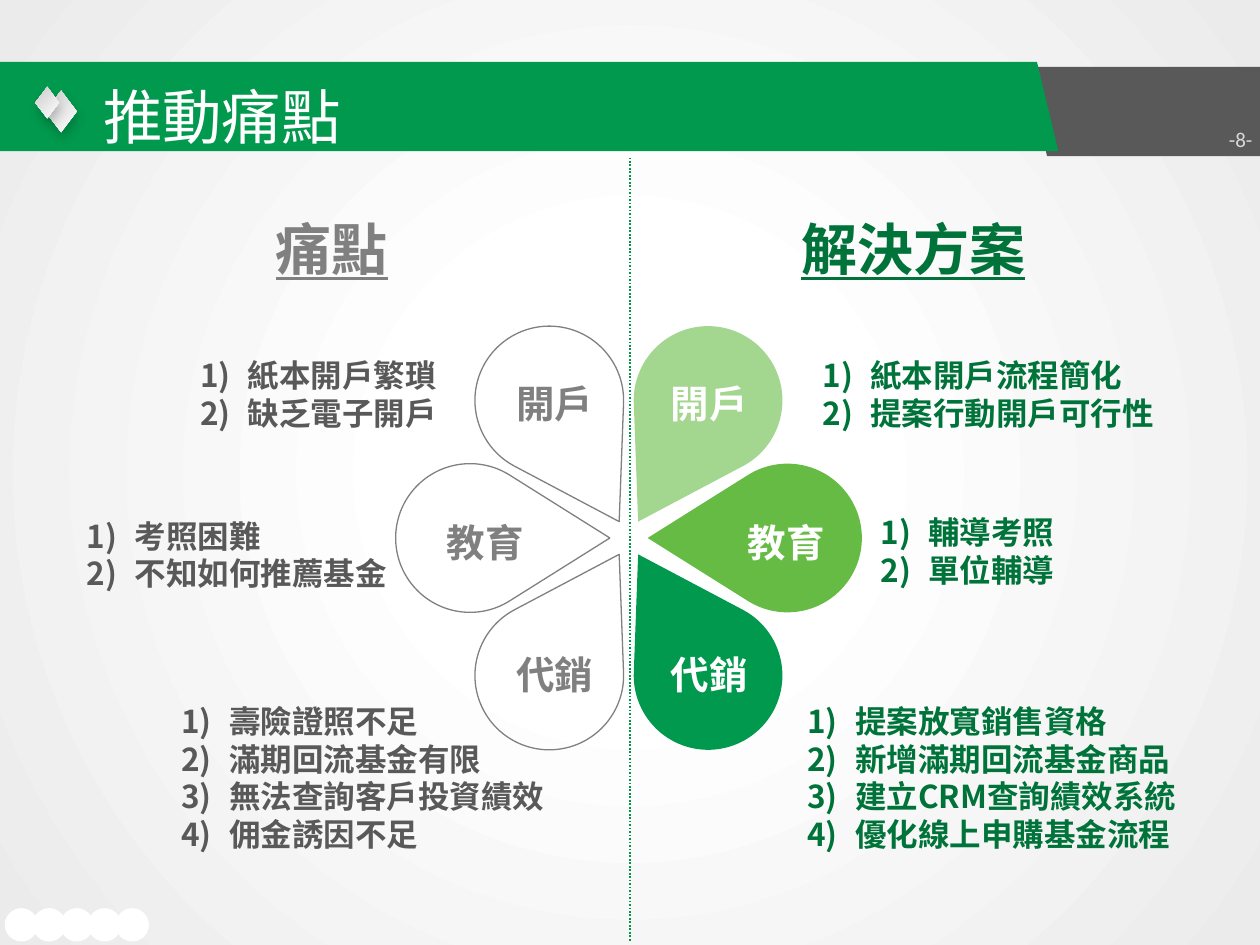
from math import acos, cos, degrees, radians, sin, tan

from lxml.etree import SubElement
from pptx import Presentation
from pptx.dml.color import RGBColor
from pptx.enum.dml import MSO_LINE
from pptx.enum.shapes import MSO_CONNECTOR, MSO_SHAPE as Preset
from pptx.enum.text import MSO_ANCHOR as Anchor, PP_ALIGN as Align
from pptx.oxml.ns import qn
from pptx.util import Inches, Pt

THEME = {
    "green": "00994D", "dark_green": "00733A", "divider": "00964B",
    "gray": "808080", "dark_gray": "595959", "pale": "D9D9D9", "white": "FFFFFF",
    "title": 34, "heading": 32, "label": 22, "list": 18, "number": 12,
    "cjk": "Noto Sans CJK TC", "list_font": "Noto Sans CJK SC",
    "label_font": "Arial", "number_font": "Calibri",
}

# Content: petal = (angle, label, fill, label centre, list box, items)
TITLE, PAGE = "推動痛點", "-8-"
ROWS = {"top": 3.2, "middle": 4.3, "bottom": 5.35}
SIDES = [
    {"heading": ("痛點", (2.09, 1.65, 1.18, 0.64)),
     "heading_color": "gray", "label_color": "gray", "list_color": "dark_gray",
     "petals": [
         (120, "代銷", None, (4.4, "bottom"), (1.34, 5.52, 3.11, 1.31),
          ["壽險證照不足", "滿期回流基金有限", "無法查詢客戶投資績效", "佣金誘因不足"]),
         (240, "開戶", None, (4.4, "top"), (1.49, 2.78, 2.1, 0.71),
          ["紙本開戶繁瑣", "缺乏電子開戶"]),
         (180, "教育", None, (3.85, "middle"), (0.59, 4.05, 2.6, 0.71),
          ["考照困難", "不知如何推薦基金"]),
     ]},
    {"heading": ("解決方案", (6.26, 1.65, 2.05, 0.64)),
     "heading_color": "dark_green", "label_color": "white", "list_color": "dark_green",
     "petals": [
         (-60, "開戶", "A3D68F", (5.63, "top"), (6.43, 2.78, 3.35, 0.71),
          ["紙本開戶流程簡化", "提案行動開戶可行性"]),
         (60, "代銷", "00994D", (5.63, "bottom"), (6.31, 5.52, 3.43, 1.31),
          ["提案放寬銷售資格", "新增滿期回流基金商品", "建立CRM查詢績效系統", "優化線上申購基金流程"]),
         (0, "教育", "65BB44", (6.24, "middle"), (6.89, 4.02, 2.4, 0.71),
          ["輔導考照", "單位輔導"]),
     ]},
]

# Flower geometry: every petal is one teardrop turned about the centre
CENTER_X, CENTER_Y = 4.99, 4.27
TIP, REACH, RADIUS, ARCS = 0.15, 1.26, 0.59, 3

presentation = Presentation()
presentation.slide_width, presentation.slide_height = Inches(10), Inches(7.5)
slide = presentation.slides.add_slide(presentation.slide_layouts[6])
shapes = slide.shapes


def color(name):
    return RGBColor.from_string(THEME.get(name, name))


def paint(shape, fill=None, line=None, width=0.75):
    shape.shadow.inherit = False
    for part, name in ((shape.fill, fill), (shape.line.fill, line)):
        if name:
            part.solid()
            part.fore_color.rgb = color(name)
        else:
            part.background()
    if line:
        shape.line.width = Pt(width)


def gradient(fill, stops):
    fill.gradient()
    for stop, (position, name) in zip(fill.gradient_stops, stops):
        stop.position, stop.color.rgb = position, color(name)


def outline(points, **style):
    start, *others = [(Inches(x), Inches(y)) for x, y in points]
    builder = shapes.build_freeform(*start)
    builder.add_line_segments(others, close=True)
    shape = builder.convert_to_shape()
    paint(shape, **style)
    return shape


def preset(kind, box, **style):
    shape = shapes.add_shape(kind, *map(Inches, box))
    paint(shape, **style)
    return shape


def write(box, lines, size, font, ink, align=Align.LEFT, anchor=Anchor.TOP,
          numbered=False, inset=0.1, wrap=True, **style):
    frame = shapes.add_textbox(*map(Inches, box)).text_frame
    settings = {"word_wrap": wrap, "vertical_anchor": anchor,
                "margin_left": Inches(inset), "margin_right": Inches(inset)}
    for name, value in settings.items():
        setattr(frame, name, value)
    for index, line in enumerate(lines):
        paragraph = frame.add_paragraph() if index else frame.paragraphs[0]
        paragraph.alignment = align
        run = paragraph.add_run()
        run.text = line
        for name, value in {"size": Pt(THEME[size]), "name": THEME[font], **style}.items():
            setattr(run.font, name, value)
        run.font.color.rgb = color(ink)
        east_asian = THEME["cjk" if font == "cjk" else "list_font"]
        SubElement(run.font._element, qn("a:ea"), typeface=east_asian)
        if numbered:
            properties = paragraph._p.get_or_add_pPr()
            properties.set("marL", str(Inches(0.38)))
            properties.set("indent", str(-Inches(0.38)))
            SubElement(properties, qn("a:buFont"), typeface="+mj-lt")
            SubElement(properties, qn("a:buAutoNum"), type="arabicParenR")


def petal(angle, **style):
    def polar(x, y, distance, heading):
        turn = radians(heading)
        return x + distance * cos(turn), y + distance * sin(turn)

    middle = polar(CENTER_X, CENTER_Y, REACH, angle)
    sweep = 180 - degrees(acos(RADIUS / (REACH - TIP)))
    step = 2 * sweep / ARCS
    handle = RADIUS * 4 / 3 * tan(radians(step / 4))
    points = [polar(CENTER_X, CENTER_Y, TIP, angle), polar(*middle, RADIUS, angle - sweep)]
    for arc in range(ARCS):
        begin = angle - sweep + arc * step
        end = polar(*middle, RADIUS, begin + step)
        points += [polar(*points[-1], handle, begin + 90),
                   polar(*end, handle, begin + step - 90), end]
    shape = outline(points, **style)
    # Turn each three points of the round part into one cubic curve
    segments = list(shape._element.iter(qn("a:lnTo")))[1:1 + 3 * ARCS]
    for first in range(0, len(segments), 3):
        group = segments[first:first + 3]
        curve = group[0].makeelement(qn("a:cubicBezTo"))
        group[0].addprevious(curve)
        for segment in group:
            curve.append(segment[0])
            segment.getparent().remove(segment)


# Background: radial glow from the slide's middle
gradient(slide.background.fill, [(0.28, "white"), (1, "EBEBEB")])
linear = slide.element.find(".//" + qn("a:lin"))
grad_fill = linear.getparent()
grad_fill.remove(linear)
glow = SubElement(grad_fill, qn("a:path"), {"path": "circle"})
SubElement(glow, qn("a:fillToRect"), {side: "50000" for side in "ltrb"})

# Title band
outline([(8.15, 0.53), (10.04, 0.53), (10.04, 1.24), (8.31, 1.24)], fill="dark_gray")
outline([(0, 0.49), (8.23, 0.49), (8.4, 1.2), (0, 1.2)], fill="green")
for box in ((0.36, 0.72, 0.25, 0.33), (0.28, 0.69, 0.19, 0.25)):
    diamond = preset(Preset.DIAMOND, box)
    gradient(diamond.fill, [(0, "white"), (1, "CCCCCC")])
    diamond.fill.gradient_angle = 135
    effects = diamond._element.spPr.find(qn("a:effectLst"))
    shadow = SubElement(effects, qn("a:outerShdw"), blurRad=str(Pt(6)),
                        dist=str(Pt(4)), dir=str(77 * 60000))
    shade = SubElement(shadow, qn("a:srgbClr"), val="000000")
    SubElement(shade, qn("a:alpha"), val="18000")
write((0.72, 0.61, 7.5, 0.61), [TITLE], "title", "cjk", "white", anchor=Anchor.MIDDLE)

# Row of dots at the foot
for column in reversed(range(5)):
    preset(Preset.OVAL, (0.05 + 0.22 * column, 7.22, 0.24, 0.24),
           fill="white", line="white", width=1.75)

# Both halves: petals, labels, numbered lists, heading
for side in SIDES:
    for angle, _, fill, *_ in side["petals"]:
        petal(angle, fill=fill, line=None if fill else "gray")
    for _, label, _, (x, row), list_box, items in side["petals"]:
        write((x - 0.41, ROWS[row] - 0.23, 0.82, 0.47), [label], "label", "label_font",
              side["label_color"], align=Align.CENTER, wrap=False, bold=True)
        write(list_box, items, "list", "list_font", side["list_color"],
              numbered=True, bold=True)
    heading, box = side["heading"]
    write(box, [heading], "heading", "cjk", side["heading_color"],
          bold=True, underline=True)

# Page number and dotted divider
write((9.55, 0.97, 0.47, 0.28), [PAGE], "number", "number_font", "pale",
      align=Align.RIGHT, anchor=Anchor.BOTTOM, inset=0.08)
divider = shapes.add_connector(MSO_CONNECTOR.STRAIGHT, *map(Inches, (5, 1.25, 5, 7.47)))
divider.line.color.rgb = color("divider")
divider.line.width = Pt(1)
divider.line.dash_style = MSO_LINE.ROUND_DOT
SubElement(divider._element.spPr, qn("a:effectLst"))

presentation.save("out.pptx")
